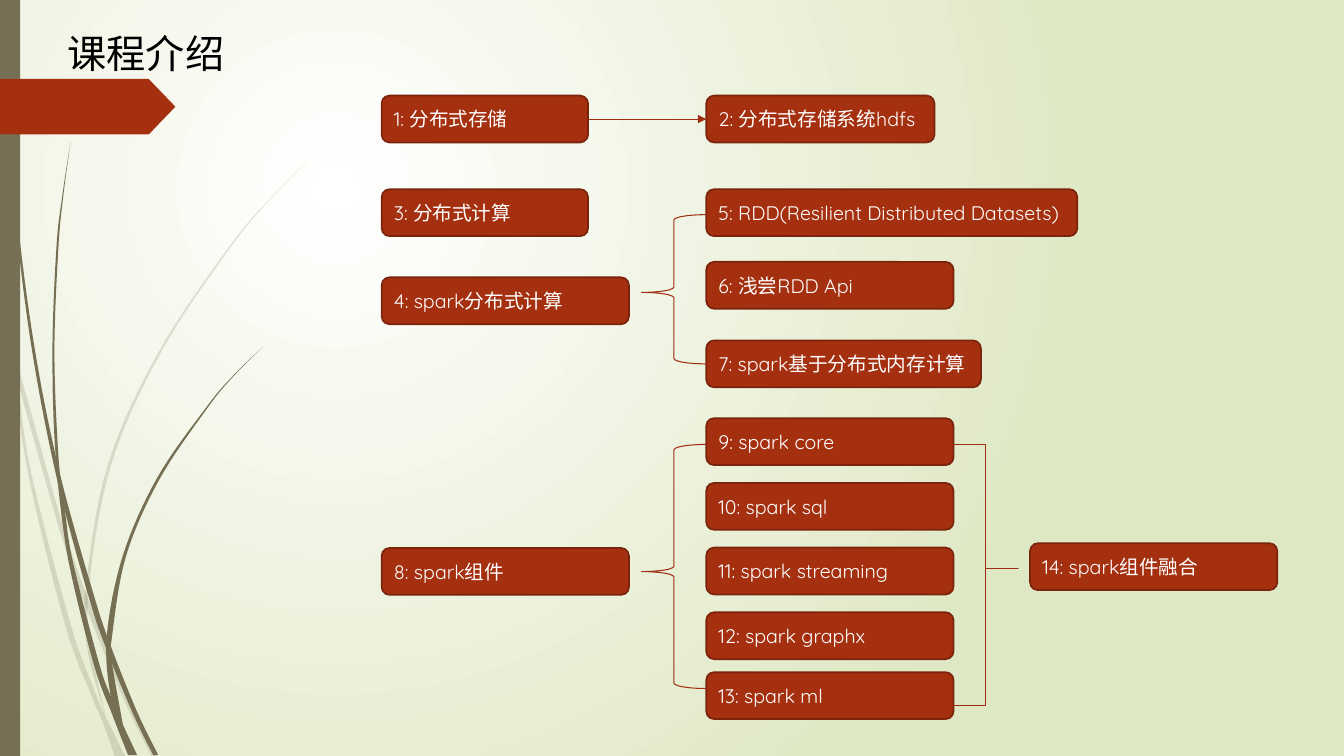
from lxml import etree
from pptx import Presentation
from pptx import util as u
from pptx.dml.color import RGBColor
from pptx.enum import shapes, text
from pptx.oxml import ns

RUST = RGBColor(0xA5, 0x30, 0x10)
DARK_RUST = RGBColor(0x7A, 0x24, 0x0C)
LINE_RUST = RGBColor(0x9E, 0x2E, 0x0F)
OLIVE = RGBColor(0x76, 0x6F, 0x54)
PALE_GREEN = RGBColor(0xDF, 0xE8, 0xC4)
WHITE = RGBColor(0xFF, 0xFF, 0xFF)
BLACK = RGBColor(0, 0, 0)
FONT = "Quicksand"

# Columns and sizes of the topic boxes, in cm
LEFT, MIDDLE, RIGHT = 9.62, 17.8, 25.96
BOX_WIDTH, BOX_HEIGHT = 6.23, 1.18
COMPONENTS_TOP, COMPONENTS_STEP = 10.54, 1.63
BRACE_WIDTH = 1.63

# Grass blades: one edge down, other edge down, in hundredths of 2.54 cm
GRID = u.Cm(2.54) / 100
PALE_BLADES = [
    ([(0, 282), (9, 322), (17, 359), (38, 435), (62, 520), (88, 596), (127, 692), (155, 750)],
     [(0, 299), (10, 344), (17, 376), (58, 522), (84, 599), (123, 694), (150, 750)]),
    ([(11, 350), (17, 376), (31, 469), (70, 619), (93, 683), (105, 711), (124, 750)],
     [(11, 350), (28, 470), (65, 621), (92, 693), (101, 714), (114, 750)]),
    ([(312, 153), (268, 198), (229, 245), (160, 349), (110, 462), (88, 584), (91, 646), (105, 711)],
     [(312, 153), (268, 197), (228, 244), (158, 348), (107, 461), (85, 584), (87, 646), (105, 711)]),
]
DARK_BLADES = [
    ([(4, 0), (5, 48), (8, 109), (19, 232), (36, 355), (60, 472), (93, 590), (110, 641),
      (136, 706), (157, 749)],
     [(3, 0), (4, 48), (7, 110), (17, 233), (33, 355), (57, 477), (88, 592), (106, 645),
      (132, 708), (152, 749)]),
    ([(57, 477), (64, 505), (72, 556), (98, 657), (110, 691), (122, 719), (136, 749)],
     [(57, 477), (68, 557), (93, 659), (111, 708), (127, 749)]),
    ([(70, 141), (63, 193), (58, 245), (54, 349), (58, 453), (64, 505)],
     [(70, 141), (62, 193), (56, 245), (52, 349), (55, 449), (64, 505)]),
    ([(261, 344), (231, 374), (205, 406), (158, 476), (125, 552), (111, 633), (111, 656), (122, 719)],
     [(261, 344), (231, 373), (204, 405), (156, 474), (122, 551), (106, 631), (110, 691), (122, 719)]),
]


def apply_format(target, values):
    for name, value in values.items():
        setattr(target, name, value)


def cm_box(*lengths):
    return [u.Cm(length) for length in lengths]


def smooth(points, steps=8):
    """Points along a smooth curve that passes through all the given ones."""
    padded = [points[0], *points, points[-1]]
    curve = []
    for a, b, c, d in zip(padded, padded[1:], padded[2:], padded[3:]):
        for step in range(steps):
            t = step / steps
            curve.append(tuple(
                q + t / 2 * (r - p + t * (2 * p - 5 * q + 4 * r - s + t * (3 * (q - r) + s - p)))
                for p, q, r, s in zip(a, b, c, d)))
    return curve + [points[-1]]


def set_background(slide):
    fill = slide.background.fill
    fill.gradient()
    for stop, position, color in zip(fill.gradient_stops, (0, 1), (WHITE, PALE_GREEN)):
        stop.position = position
        stop.color.rgb = color
    gradient = slide.element.xpath(".//p:bg//a:gradFill")[0]
    for linear in gradient.findall(ns.qn("a:lin")):
        gradient.remove(linear)
    circle = etree.SubElement(gradient, ns.qn("a:path"), path="circle")
    etree.SubElement(circle, ns.qn("a:fillToRect"), l="50000", t="50000", r="100000", b="100000")


def paint(shape, color):
    shape.shadow.inherit = False
    shape.fill.solid()
    shape.fill.fore_color.rgb = color
    shape.line.fill.background()


def add_blade(slide, edges, opacity=None):
    near, far = edges
    outline = [(x * GRID, y * GRID) for x, y in smooth(near) + smooth(far)[::-1]]
    builder = slide.shapes.build_freeform(*outline[0])
    builder.add_line_segments(outline[1:], close=True)
    shape = builder.convert_to_shape()
    paint(shape, OLIVE)
    if opacity:
        color = shape.element.xpath("./p:spPr/a:solidFill/a:srgbClr")[0]
        etree.SubElement(color, ns.qn("a:alpha"), val=str(opacity * 1000))


def add_plain(slide, kind, box, color):
    shape = slide.shapes.add_shape(kind, *cm_box(*box))
    paint(shape, color)
    return shape


def write(shape, words, size, color, frame_format):
    frame = shape.text_frame
    apply_format(frame, frame_format)
    paragraph = frame.paragraphs[0]
    paragraph.text = words
    paragraph.alignment = text.PP_ALIGN.LEFT
    apply_format(paragraph.font, {"name": FONT, "size": u.Pt(size)})
    paragraph.font.color.rgb = color


def add_title(slide, words):
    title = slide.shapes.title
    left, top, width, height = cm_box(1.45, 0.61, 4.5, 1.45)
    apply_format(title, {"left": left, "top": top, "width": width, "height": height})
    write(title, words, 28, BLACK, {
        "word_wrap": False, "auto_size": text.MSO_AUTO_SIZE.SHAPE_TO_FIT_TEXT,
        "vertical_anchor": text.MSO_ANCHOR.TOP})


def add_topic(slide, words, left, top, width=BOX_WIDTH):
    shape = add_plain(slide, shapes.MSO_SHAPE.ROUNDED_RECTANGLE,
                      (left, top, width, BOX_HEIGHT), RUST)
    shape.line.color.rgb = DARK_RUST
    shape.line.width = u.Pt(1.25)
    write(shape, words, 14, WHITE,
          {"word_wrap": True, "vertical_anchor": text.MSO_ANCHOR.MIDDLE})
    return shape


def draw_line(shape):
    shape.line.color.rgb = LINE_RUST
    shape.line.width = u.Pt(0.75)


def add_brace(slide, kind, left, top, height, curve, middle):
    shape = slide.shapes.add_shape(kind, *cm_box(left, top, BRACE_WIDTH, height))
    shape.shadow.inherit = False
    shape.fill.background()
    shape.adjustments[0], shape.adjustments[1] = curve, middle
    draw_line(shape)


def add_arrow(slide, start, end):
    connector = slide.shapes.add_connector(shapes.MSO_CONNECTOR.STRAIGHT, 0, 0, 0, 0)
    connector.begin_connect(start, 3)
    connector.end_connect(end, 1)
    draw_line(connector)
    etree.SubElement(connector.line._get_or_add_ln(), ns.qn("a:tailEnd"), type="triangle")
    etree.SubElement(connector.element.spPr, ns.qn("a:effectLst"))


def main():
    presentation = Presentation()
    presentation.slide_width, presentation.slide_height = u.Cm(33.87), u.Cm(19.05)
    slide = presentation.slides.add_slide(presentation.slide_layouts[5])

    # Backdrop with grass, side bar and banner
    set_background(slide)
    for edges in PALE_BLADES:
        add_blade(slide, edges, opacity=20)
    for edges in DARK_BLADES:
        add_blade(slide, edges)
    add_plain(slide, shapes.MSO_SHAPE.RECTANGLE, (0, 0, 0.51, 19.05), OLIVE)
    banner = add_plain(slide, shapes.MSO_SHAPE.PENTAGON, (0, 1.99, 4.42, 1.4), RUST)
    banner.adjustments[0] = 0.48
    add_title(slide, "课程介绍")

    # Storage
    storage = add_topic(slide, "1: 分布式存储", LEFT, 2.41, 5.2)
    hdfs = add_topic(slide, "2: 分布式存储系统hdfs", MIDDLE, 2.41, 5.75)
    add_arrow(slide, storage, hdfs)

    # Computing
    add_topic(slide, "3: 分布式计算", LEFT, 4.77, 5.2)
    add_topic(slide, "4: spark分布式计算", LEFT, 6.99)
    add_topic(slide, "5: RDD(Resilient Distributed Datasets)", MIDDLE, 4.77, 9.35)
    add_topic(slide, "6: 浅尝RDD Api", MIDDLE, 6.6)
    add_topic(slide, "7: spark基于分布式内存计算", MIDDLE, 8.58, 6.92)

    # Components
    add_topic(slide, "8: spark组件", LEFT, 13.81)
    components = ["9: spark core", "10: spark sql", "11: spark streaming", "12: spark graphx"]
    for row, words in enumerate(components):
        add_topic(slide, words, MIDDLE, COMPONENTS_TOP + row * COMPONENTS_STEP)
    add_topic(slide, "13: spark ml", MIDDLE, 16.94)
    add_topic(slide, "14: spark组件融合", RIGHT, 13.69)

    # Braces
    left_brace, right_brace = shapes.MSO_SHAPE.LEFT_BRACE, shapes.MSO_SHAPE.RIGHT_BRACE
    add_brace(slide, left_brace, MIDDLE - BRACE_WIDTH, 5.41, 3.76, 0.083, 0.521)
    add_brace(slide, left_brace, MIDDLE - BRACE_WIDTH, 11.2, 6.15, 0.083, 0.521)
    add_brace(slide, right_brace, MIDDLE + BOX_WIDTH, 11.2, 6.58, 0, 0.477)

    presentation.save("out.pptx")


if __name__ == "__main__":
    main()
